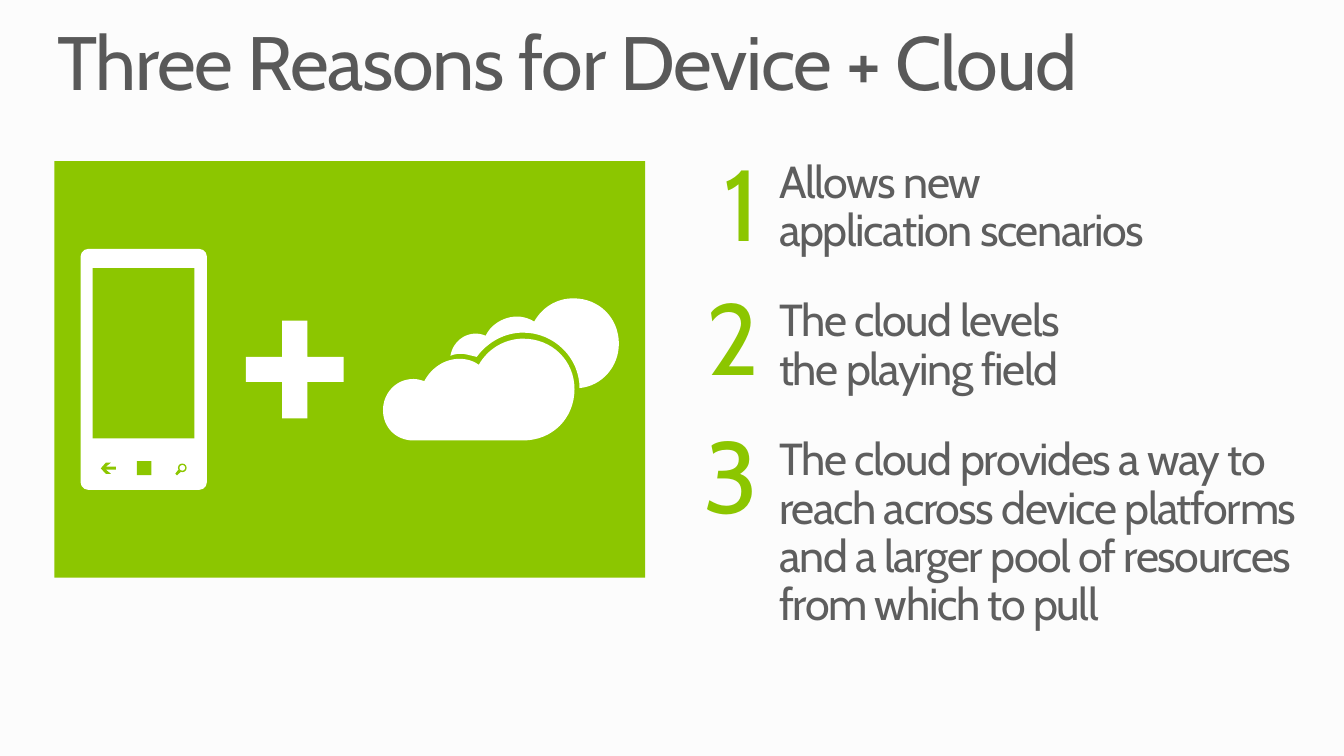
"""Build the slide "Three Reasons for Device + Cloud"."""
from pptx import Presentation
from pptx.dml.color import RGBColor
from pptx.enum import shapes, text
from pptx.util import Pt

TITLE = "Three Reasons for Device + Cloud"
REASONS = [
    "Allows new\napplication scenarios",
    "The cloud levels\nthe playing field",
    "The cloud provides a way to reach across device platforms "
    "and a larger pool of resources\nfrom which to pull",
]
NUMBER_TOPS = [110, 206, 304.5]

FONT = "Cabin"
GREEN = RGBColor(0x8C, 0xC6, 0x00)
WHITE = RGBColor(0xFF, 0xFF, 0xFF)
PAPER = RGBColor(0xFC, 0xFC, 0xFC)
TITLE_GRAY = RGBColor(0x59, 0x59, 0x59)
BODY_GRAY = RGBColor(0x5E, 0x5E, 0x5E)

BACK_CLOUD = [
    (409.7, 213.1),
    (397.4, 213.1), (387.4, 219.6), (381.6, 229.7),
    (378, 227.5), (373.7, 226.1), (369.4, 226.1),
    (360, 226.1), (350.6, 231.8), (347, 239.8),
    (344.9, 239), (342.7, 238.3), (339.8, 238.3),
    (331.2, 238.3), (323.3, 244.8), (321.8, 254.2),
    (323.3, 253.4), (326.2, 252.7), (329, 252.7),
    (332.6, 252.7), (337, 254.2), (340.6, 254.9),
    (348.5, 244.1), (360.7, 237.6), (373.7, 237.6),
    (396, 237.6), (414, 255.6), (414, 277.2),
    (429.8, 275.8), (442.1, 262.1), (442.1, 245.5),
    (442.1, 226.8), (427.7, 213.1), (409.7, 213.1),
]
FRONT_CLOUD = [
    (373.7, 241.9),
    (360.7, 241.9), (348.5, 249.1), (342, 260.6),
    (338.4, 257.8), (333.4, 256.3), (328.3, 256.3),
    (317.5, 256.3), (308.2, 262.8), (303.1, 272.2),
    (300.2, 271.4), (298.1, 270.7), (295.2, 270.7),
    (283, 270.7), (273.6, 280.8), (273.6, 293),
    (273.6, 305.3), (283, 314.6), (295.2, 314.6),
    (295.2, 314.6), (373.7, 314.6), (373.7, 314.6),
    (394.6, 314.6), (410.4, 298.8), (410.4, 277.9),
    (410.4, 257.8), (394.6, 241.9), (373.7, 241.9),
]
BACK_ARROW = [
    (82.8, 335.5), (75.6, 335.5), (79.2, 338.4), (75.6, 338.4), (72, 334.6),
    (75.6, 330.5), (79.2, 330.5), (75.6, 333.4), (82.8, 333.4),
]
SEARCH_HANDLE = [(127.4, 335.5), (129.2, 337), (126.4, 339.5), (125.2, 338.4)]


def write(frame, lines, size, color, align=text.PP_ALIGN.LEFT, after=0):
    """Fill a text frame with one formatted paragraph per line."""
    frame.margin_left = frame.margin_right = 0
    frame.margin_top = frame.margin_bottom = 0
    frame.word_wrap = True
    frame.auto_size = text.MSO_AUTO_SIZE.NONE
    frame.vertical_anchor = text.MSO_ANCHOR.TOP
    for index, line in enumerate(lines):
        paragraph = frame.add_paragraph() if index else frame.paragraphs[0]
        paragraph.text = line.replace("\n", "\v")
        paragraph.alignment = align
        paragraph.line_spacing = 0.9
        paragraph.space_before = Pt(0)
        paragraph.space_after = Pt(after)
        for run in paragraph.runs:
            run.font.name = FONT
            run.font.size = Pt(size)
            run.font.color.rgb = color
            run._r.get_or_add_rPr().set("spc", "-100")


def place(shape, left, top, width, height):
    """Move and size a shape in points."""
    shape.left, shape.top = Pt(left), Pt(top)
    shape.width, shape.height = Pt(width), Pt(height)


def paint(shape, color):
    """Give a shape a flat fill without line or shadow."""
    shape.shadow.inherit = False
    shape.fill.solid()
    shape.fill.fore_color.rgb = color
    shape.line.fill.background()
    return shape


def add_preset(slide, kind, box, color):
    """Add a flat preset shape."""
    return paint(slide.shapes.add_shape(kind, *map(Pt, box)), color)


def add_outline(slide, points, color):
    """Add a flat closed outline."""
    corners = [(Pt(x), Pt(y)) for x, y in points]
    builder = slide.shapes.build_freeform(*corners[0])
    builder.add_line_segments(corners[1:], close=True)
    return paint(builder.convert_to_shape(), color)


def flatten(points, steps=16):
    """Turn a chain of cubic curves into short straight steps."""
    result = [points[0]]
    for first in range(0, len(points) - 1, 3):
        curve = points[first:first + 4]
        for step in range(1, steps + 1):
            t = step / steps
            weights = ((1 - t) ** 3, 3 * t * (1 - t) ** 2, 3 * t * t * (1 - t), t ** 3)
            result.append(tuple(
                sum(weight * point[axis] for weight, point in zip(weights, curve))
                for axis in (0, 1)))
    return result


def add_phone(slide):
    """Draw the phone with its screen and three buttons."""
    kinds = shapes.MSO_SHAPE
    body = add_preset(slide, kinds.ROUNDED_RECTANGLE, (57.6, 177.8, 90.2, 172.1), WHITE)
    body.adjustments[0] = 0.06
    add_preset(slide, kinds.RECTANGLE, (66.2, 191.5, 72.8, 121.7), GREEN)
    add_outline(slide, BACK_ARROW, GREEN)
    add_preset(slide, kinds.RECTANGLE, (97.8, 329.4, 10.4, 10), GREEN)
    add_outline(slide, SEARCH_HANDLE, GREEN)
    add_preset(slide, kinds.OVAL, (127.1, 331.1, 6.2, 6.2), GREEN)
    add_preset(slide, kinds.OVAL, (128.2, 332.2, 4, 4), WHITE)


def main():
    """Assemble and save the slide."""
    presentation = Presentation()
    presentation.slide_width, presentation.slide_height = Pt(960), Pt(540)
    slide = presentation.slides.add_slide(presentation.slide_layouts[5])
    slide.background.fill.solid()
    slide.background.fill.fore_color.rgb = PAPER

    title = slide.shapes.title
    place(title, 41, 18, 877.7, 59)
    write(title.text_frame, [TITLE], 54, TITLE_GRAY)

    reasons = slide.shapes.add_textbox(Pt(556.6), Pt(113.8), Pt(388.8), Pt(339.8))
    write(reasons.text_frame, REASONS, 32, BODY_GRAY, after=30)

    add_preset(slide, shapes.MSO_SHAPE.RECTANGLE, (38.9, 115.2, 421.9, 297.4), GREEN)
    for cloud in (BACK_CLOUD, FRONT_CLOUD):
        add_outline(slide, flatten(cloud), WHITE)
    add_phone(slide)
    plus = add_preset(slide, shapes.MSO_SHAPE.CROSS, (175.7, 229, 69.8, 69.8), WHITE)
    plus.adjustments[0] = 0.372

    for number, top in enumerate(NUMBER_TOPS, start=1):
        box = slide.shapes.add_textbox(Pt(460.8), Pt(top), Pt(81.4), Pt(78.5))
        write(box.text_frame, [str(number)], 72, GREEN, align=text.PP_ALIGN.RIGHT, after=24)

    presentation.save("out.pptx")


if __name__ == "__main__":
    main()
